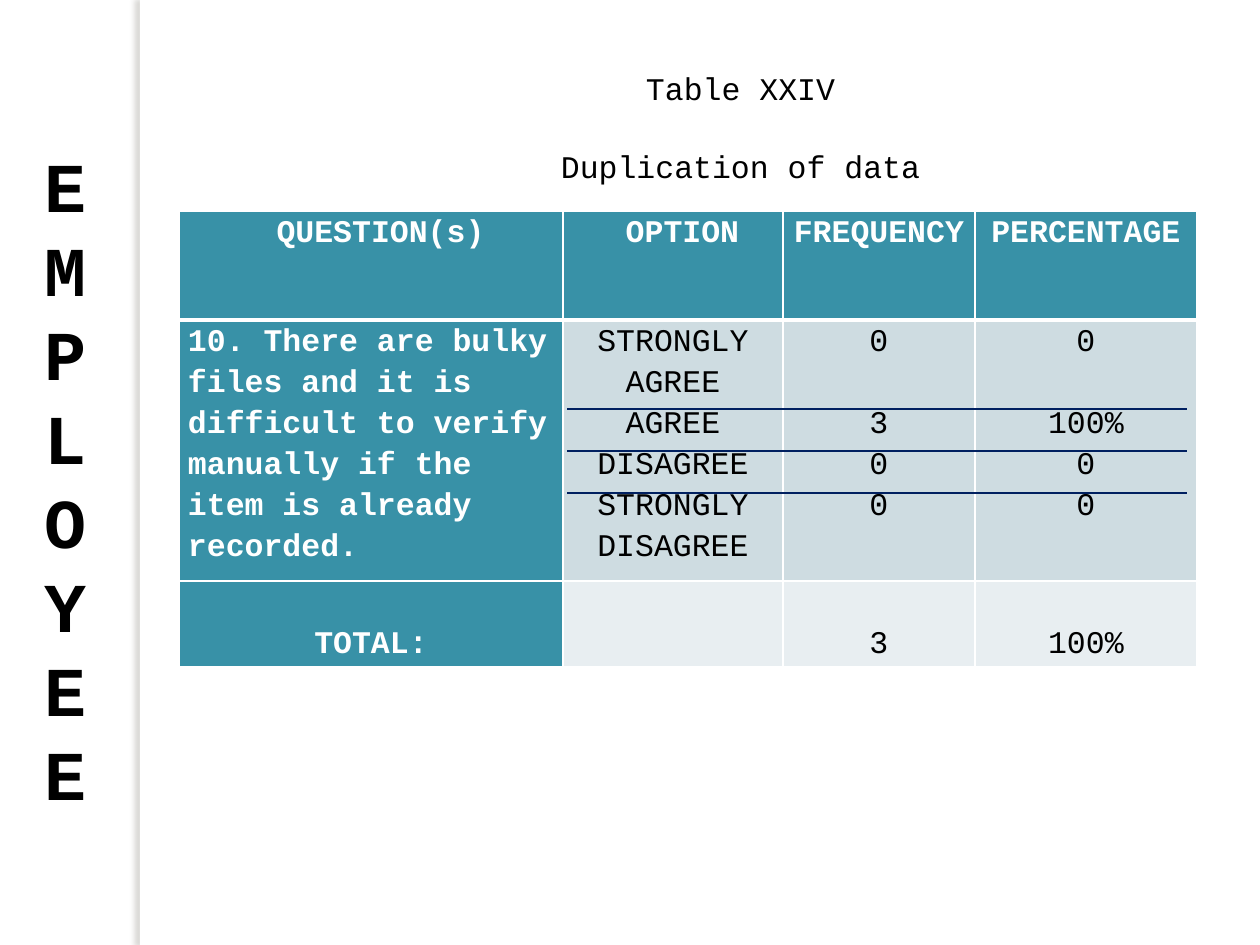
from lxml import etree
from pptx import Presentation
from pptx.dml.color import RGBColor
from pptx.enum.shapes import MSO_CONNECTOR, MSO_SHAPE
from pptx.enum.text import MSO_ANCHOR, MSO_AUTO_SIZE, PP_ALIGN
from pptx.oxml import parse_xml
from pptx.oxml.ns import nsdecls, qn
from pptx.util import Pt

CENTER, LEFT = PP_ALIGN.CENTER, PP_ALIGN.LEFT
MIDDLE, TOP = MSO_ANCHOR.MIDDLE, MSO_ANCHOR.TOP
NO_FIT = MSO_AUTO_SIZE.NONE
RECT, STRAIGHT = MSO_SHAPE.RECTANGLE, MSO_CONNECTOR.STRAIGHT
EMU_PER_PX = 914400 / 126
COLORS = {"white": "FFFFFF", "black": "000000", "teal": "3891A7", "band": "CEDCE1",
          "pale": "E8EEF1", "navy": "002060", "shadow": "736F63"}
LINE_PX = 41


def px(n):
    return round(n * EMU_PER_PX)


def rgb(name):
    return RGBColor.from_string(COLORS[name])


def apply(obj, values):
    for name, value in values.items():
        setattr(obj, name, value)


class SlideBuilder:
    font = "Courier New"

    def __init__(self, prs):
        self.slide = prs.slides.add_slide(prs.slide_layouts[5])

    def fill_text(self, tf, lines, color="black", size=18, bold=False, **fmt):
        for i, text in enumerate(lines):
            p = tf.paragraphs[0] if i == 0 else tf.add_paragraph()
            p.text = text
            apply(p, fmt)
            for r in p.runs:
                apply(r.font, {"name": self.font, "size": Pt(size), "bold": bold})
                r.font.color.rgb = rgb(color)

    def place(self, sp, x, y, w, h):
        apply(sp, {"left": px(x), "top": px(y), "width": px(w), "height": px(h)})

    def title(self, box, lines, gap):
        sp = self.slide.shapes.title
        self.place(sp, *box)
        tf = sp.text_frame
        apply(tf, {"word_wrap": False, "auto_size": NO_FIT, "vertical_anchor": MIDDLE})
        self.fill_text(tf, lines, alignment=CENTER)
        for p in tf.paragraphs[1:]:
            p.space_before = Pt(gap)

    def text(self, box, text, **style):
        tf = self.slide.shapes.add_textbox(*map(px, box)).text_frame
        apply(tf, {"word_wrap": True, "auto_size": NO_FIT, "vertical_anchor": TOP})
        self.fill_text(tf, [text], **style)

    def bar(self, box):
        sp = self.slide.shapes.add_shape(RECT, *map(px, box))
        sp.shadow.inherit = False
        sp.fill.solid()
        sp.fill.fore_color.rgb = rgb("white")
        sp.line.fill.background()
        effects = sp._element.spPr.find(qn("a:effectLst"))
        effects.append(parse_xml(
            f'<a:outerShdw {nsdecls("a")} blurRad="{Pt(3)}" dist="{Pt(3)}" dir="10800000" '
            f'algn="tl" rotWithShape="0"><a:srgbClr val="{COLORS["shadow"]}">'
            '<a:alpha val="25000"/></a:srgbClr></a:outerShdw>'))

    def line(self, x1, x2, y):
        ln = self.slide.shapes.add_connector(STRAIGHT, px(x1), px(y), px(x2), px(y))
        ln.line.color.rgb = rgb("navy")
        ln.line.width = Pt(0.75)
        etree.SubElement(ln._element.spPr, qn("a:effectLst"))

    def borders(self, cell, widths):
        tc_pr = cell._tc.get_or_add_tcPr()
        for i, (side, width) in enumerate(zip("LRTB", widths)):
            tc_pr.insert(i, parse_xml(
                f'<a:ln{side} {nsdecls("a")} w="{Pt(width)}"><a:solidFill>'
                f'<a:srgbClr val="{COLORS["white"]}"/></a:solidFill></a:ln{side}>'))

    def table(self, x, y, cols, heights, rows, fills):
        table = self.slide.shapes.add_table(
            len(heights), len(cols), px(x), px(y), px(sum(cols)), px(sum(heights))).table
        for col, w in zip(table.columns, cols):
            col.width = px(w)
        for row, h in zip(table.rows, heights):
            row.height = px(h)
        for r, row in enumerate(rows):
            for c, lines in enumerate(row):
                self.cell(table.cell(r, c), r, c, lines, fills[r])
        return table

    def cell(self, cell, r, c, lines, fill):
        heading = r == 0 or c == 0
        cell.fill.solid()
        cell.fill.fore_color.rgb = rgb("teal" if heading else fill)
        apply(cell, {"margin_left": px(9), "margin_right": px(9),
                     "margin_top": 0, "margin_bottom": 0})
        self.borders(cell, (1, 1, 3 if r == 1 else 1, 3 if r == 0 else 1))
        self.fill_text(cell.text_frame, lines, color="white" if heading else "black",
                       bold=heading, line_spacing=1.15,
                       alignment=LEFT if (r, c) == (1, 0) else CENTER)


def main():
    prs = Presentation()
    apply(prs, {"slide_width": px(1260), "slide_height": px(945)})
    s = SlideBuilder(prs)
    s.bar((140, 0, 10, 945))

    question = ("10. There are bulky files and it is difficult to verify "
                "manually if the item is already recorded.")
    options = "STRONGLY AGREE\vAGREE\vDISAGREE\vSTRONGLY DISAGREE"
    rows = [
        [["QUESTION(s)"], ["OPTION"], ["FREQUENCY"], ["PERCENTAGE"]],
        [[question], [options], ["0", "3", "0", "0"], ["0", "100%", "0", "0"]],
        [["TOTAL:"], [], ["3"], ["100%"]],
    ]
    table = s.table(179, 211, (384, 220, 192, 222), (109, 261, 86), rows,
                    ("teal", "band", "pale"))
    for c in (0, 1):
        table.cell(0, c).margin_left = px(28)
    for c in (2, 3):
        table.cell(1, c).text_frame.paragraphs[0].space_after = px(LINE_PX)
    for c in (0, 2, 3):
        table.cell(2, c).margin_top = px(LINE_PX)

    for i in range(3):
        s.line(567, 1187, 409 + 42 * i)
    s.title((547, 63, 387, 127), ["Table XXIV", "Duplication of data"], gap=23)
    s.text((32, 136, 63, 692), "EMPLOYEE", size=40, bold=True)
    prs.save("out.pptx")


if __name__ == "__main__":
    main()
